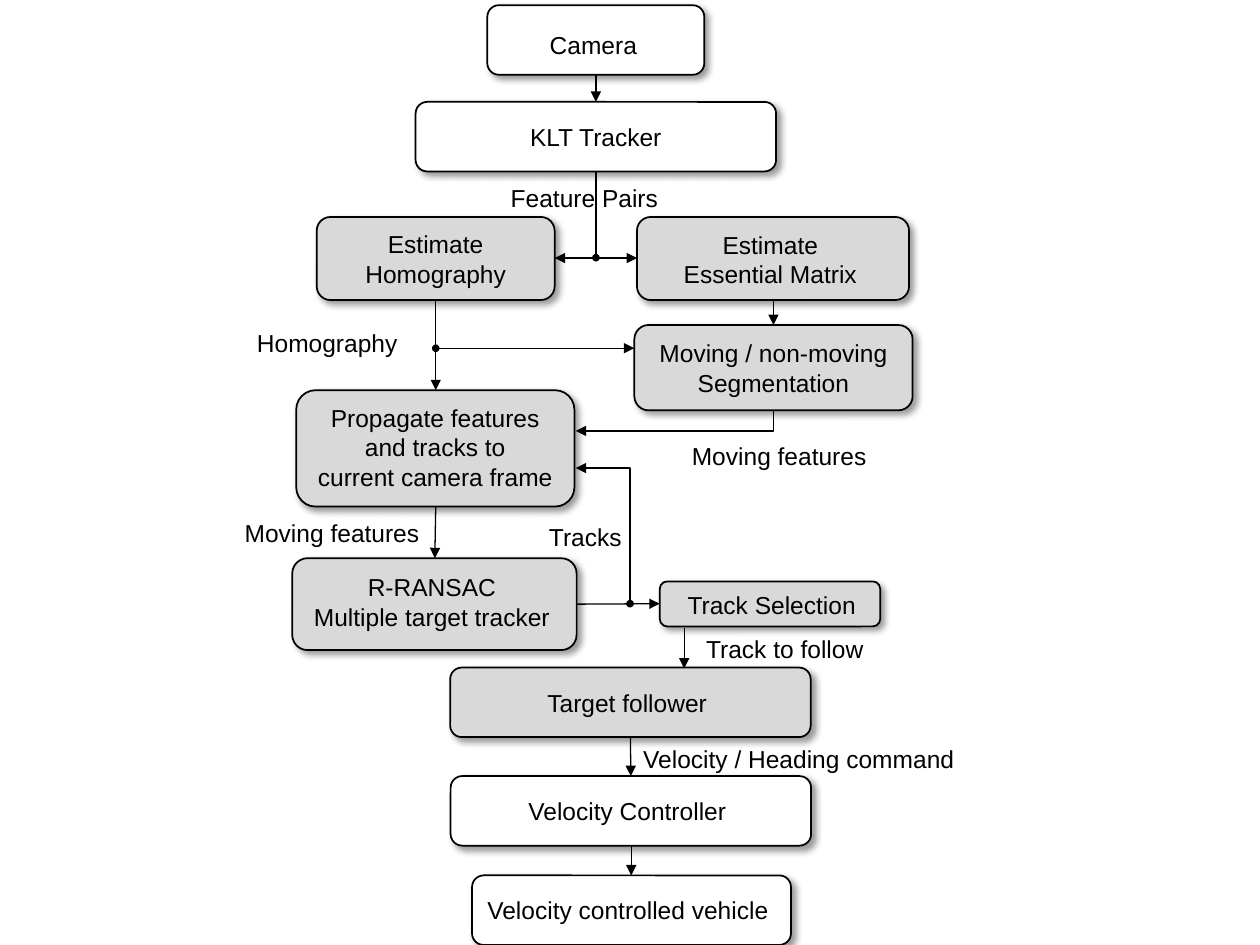
"""Build a flowchart slide of a camera-based target tracking and following pipeline."""
import pptx
import pptx.dml.color
import pptx.enum.shapes
import pptx.enum.text
import pptx.oxml
import pptx.oxml.ns
import pptx.util

Pt = pptx.util.Pt
RGBColor = pptx.dml.color.RGBColor
SHAPE = pptx.enum.shapes.MSO_SHAPE
CONNECTOR = pptx.enum.shapes.MSO_CONNECTOR
qn = pptx.oxml.ns.qn

BLACK = RGBColor(0x00, 0x00, 0x00)
WHITE = RGBColor(0xFF, 0xFF, 0xFF)
GRAY = RGBColor(0xD9, 0xD9, 0xD9)

NS = pptx.oxml.ns.nsdecls("a")
SHADOW = (
    f'<a:effectLst {NS}><a:outerShdw blurRad="{Pt(4)}" dist="{Pt(3)}" dir="2700000" '
    'algn="tl" rotWithShape="0"><a:srgbClr val="000000"><a:alpha val="40000"/>'
    '</a:srgbClr></a:outerShdw></a:effectLst>'
)


class Flowchart:
    def __init__(self, slide, font="Arial", size=14):
        self.slide, self.font, self.size = slide, font, size

    def set_text(self, tf, text):
        tf.text = text
        for p in tf.paragraphs:
            p.alignment = pptx.enum.text.PP_ALIGN.CENTER
            for r in p.runs:
                r.font.name = self.font
                r.font.size = Pt(self.size)
                r.font.color.rgb = BLACK

    def outline(self, sp, width):
        sp.line.color.rgb = BLACK
        sp.line.width = Pt(width)

    def box(self, x, y, w, h, text, fill=GRAY, shift=(0, 0)):
        sp = self.slide.shapes.add_shape(SHAPE.ROUNDED_RECTANGLE, Pt(x), Pt(y), Pt(w), Pt(h))
        sp.fill.solid()
        sp.fill.fore_color.rgb = fill
        self.outline(sp, 1)
        sp.element.spPr.append(pptx.oxml.parse_xml(SHADOW))
        tf = sp.text_frame
        tf.word_wrap = False
        tf.vertical_anchor = pptx.enum.text.MSO_ANCHOR.MIDDLE
        dx, dy = shift
        tf.margin_left, tf.margin_right = Pt(max(0, 2 * dx)), Pt(max(0, -2 * dx))
        tf.margin_top, tf.margin_bottom = Pt(max(0, 2 * dy)), Pt(max(0, -2 * dy))
        self.set_text(tf, text)

    def label(self, x, y, w, text):
        tf = self.slide.shapes.add_textbox(Pt(x), Pt(y), Pt(w), Pt(24.5)).text_frame
        tf.word_wrap = False
        self.set_text(tf, text)

    def arrow(self, x1, y1, x2, y2, kind=CONNECTOR.STRAIGHT):
        c = self.slide.shapes.add_connector(kind, Pt(x1), Pt(y1), Pt(x2), Pt(y2))
        self.outline(c, 0.75)
        spPr = c.element.spPr
        spPr.find(qn("a:ln")).append(pptx.oxml.parse_xml(f'<a:tailEnd {NS} type="triangle"/>'))
        spPr.append(pptx.oxml.parse_xml(f"<a:effectLst {NS}/>"))
        return spPr

    def elbow(self, x1, y1, x2, y2):
        cx, cy = (x1 + x2) / 2, (y1 + y2) / 2
        rx, ry = abs(y2 - y1) / 2, abs(x2 - x1) / 2
        spPr = self.arrow(cx - rx, cy - ry, cx + rx, cy + ry, CONNECTOR.ELBOW)
        spPr.find(qn("a:prstGeom")).set("prst", "bentConnector2")
        xfrm = spPr.find(qn("a:xfrm"))
        down, left = y2 > y1, x2 < x1
        xfrm.set("rot", "5400000" if down and left else "16200000")
        if down and not left:
            xfrm.set("flipH", "1")
        elif left and not down:
            xfrm.set("flipV", "1")

    def dot(self, cx, cy, d=3.6):
        sp = self.slide.shapes.add_shape(SHAPE.OVAL, Pt(cx - d / 2), Pt(cy - d / 2), Pt(d), Pt(d))
        sp.shadow.inherit = False
        sp.fill.solid()
        sp.fill.fore_color.rgb = BLACK
        self.outline(sp, 0.75)


def main():
    prs = pptx.Presentation()
    prs.slide_width, prs.slide_height = Pt(720), Pt(540)
    s = Flowchart(prs.slides.add_slide(prs.slide_layouts[6]))

    s.box(278.5, 3, 124, 39.75, "Camera", WHITE, (-1.4, 2.5))
    s.box(237.5, 58.25, 206, 39.75, "KLT Tracker", WHITE)
    s.box(181, 124, 136, 47.5, "Estimate\nHomography")
    s.box(364, 124, 155.5, 47.5, "Estimate\nEssential Matrix", shift=(-1.5, 0.5))
    s.box(362.5, 185.75, 159, 48.75, "Moving / non-moving\nSegmentation")
    s.box(169.25, 223, 159, 66.5, "Propagate features\nand tracks to\ncurrent camera frame",
          shift=(0, -0.7))
    s.box(167, 319, 162.5, 52.5, "R-RANSAC\nMultiple target tracker", shift=(-1.4, -1.4))
    s.box(377, 332.25, 126, 25.75, "Track Selection", shift=(1, 0.5))
    s.box(257.25, 381.5, 206, 39.75, "Target follower", shift=(-1.8, 0))
    s.box(257.5, 443.5, 206, 39.75, "Velocity Controller", WHITE, (-2, 0))
    s.box(269.75, 500.25, 182.25, 39.75, "Velocity controlled vehicle", WHITE, (-2, 0))

    for ends in [
        (340.5, 42.5, 340.5, 58.25),
        (338, 147.5, 364, 147.5),
        (249, 171.5, 249, 223),
        (442, 171.5, 442, 185.75),
        (249, 289.5, 248.5, 319),
        (329.5, 345.25, 377, 345),
        (391, 359, 391, 382),
        (360.25, 421.25, 360.5, 443.5),
        (360.75, 483.25, 360.75, 500.25),
    ]:
        s.arrow(*ends)

    for ends in [
        (340.5, 98, 317, 147.5),
        (249, 171.5, 362.5, 199),
        (442, 234.5, 329, 246.25),
        (360, 345, 329, 267.5),
    ]:
        s.elbow(*ends)

    for center in [(340.5, 147.25), (360, 345), (249, 199)]:
        s.dot(*center)

    for x, y, w, text in [
        (284.25, 101, 99.5, "Feature Pairs"),
        (139.5, 184, 95, "Homography"),
        (388, 248.5, 114.5, "Moving features"),
        (132.5, 292.75, 114.5, "Moving features"),
        (306.5, 295, 56, "Tracks"),
        (396, 358.5, 105, "Track to follow"),
        (360, 421.75, 193, "Velocity / Heading command"),
    ]:
        s.label(x, y, w, text)

    prs.save("out.pptx")


if __name__ == "__main__":
    main()
